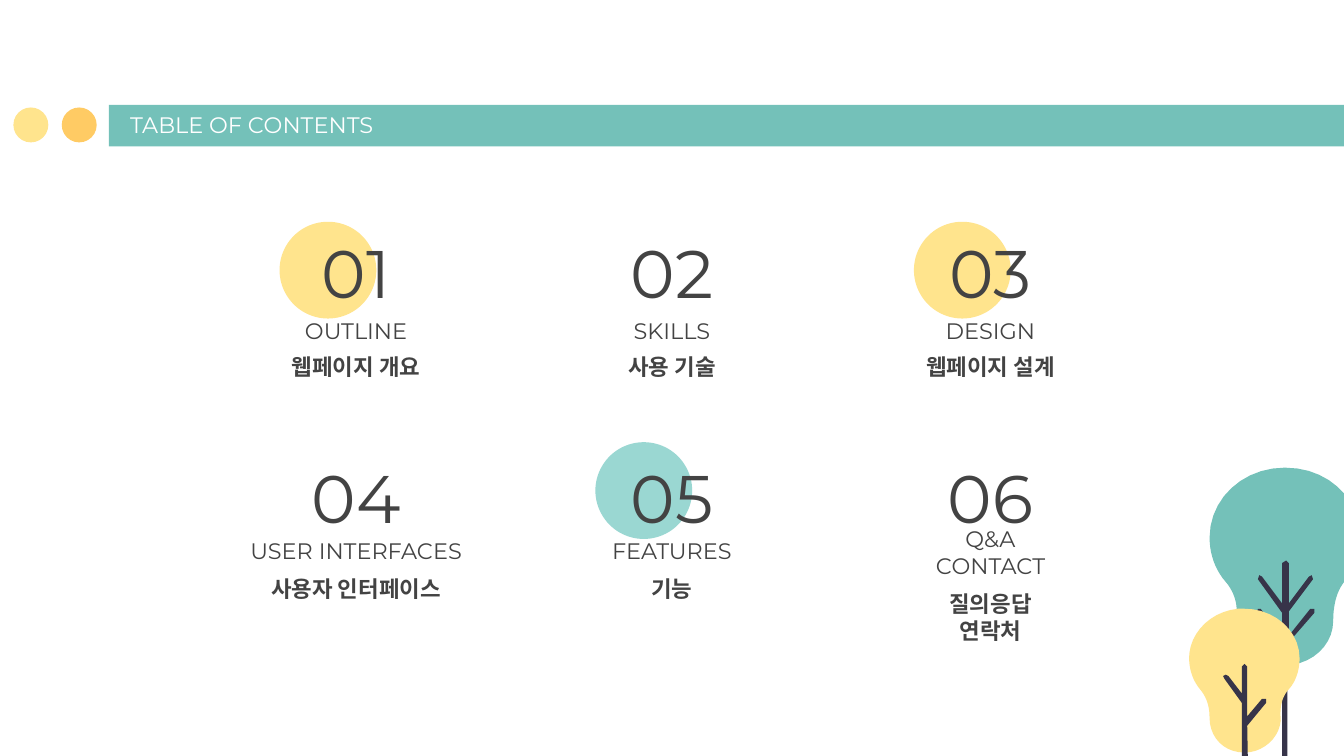
from pptx import Presentation
from pptx.dml.color import RGBColor
from pptx.enum.shapes import MSO_SHAPE as Preset
from pptx.enum.text import MSO_ANCHOR as Anchor, PP_ALIGN as Align
from pptx.util import Inches, Pt

SLIDE_WIDTH = 10
SLIDE_HEIGHT = SLIDE_WIDTH * 9 / 16

TEAL, LIGHT_TEAL = "74C1B9", "9AD7D2"
YELLOW, ORANGE = "FFE48D", "FFCB64"
DARK, BARK, WHITE = "434343", "373449", "FFFFFF"

COLUMN_CENTERS = [2.65, 5.0, 7.37]
# top of circle, number, heading and subtitle in each row
ROW_TOPS = [(1.65, 1.71, 2.03, 2.53), (3.29, 3.38, 3.67, 4.18)]

# number, heading, subtitle, circle colour, extra drop of the texts
ENTRIES = [
    ("01", "OUTLINE", "웹페이지 개요", YELLOW, 0),
    ("02", "SKILLS", "사용 기술", None, 0),
    ("03", "DESIGN", "웹페이지 설계", YELLOW, 0),
    ("04", "USER INTERFACES", "사용자 인터페이스", None, 0),
    ("05", "FEATURES", "기능", LIGHT_TEAL, 0),
    ("06", "Q&A\vCONTACT", "질의응답\n연락처", None, 0.11),
]

# Crowns: a start point, then Bézier curves (two handles and an end point)
TEAL_CROWN = (9.56, 3.48), [
    (9.25, 3.48, 9, 3.71, 9, 4),
    (9, 4.12, 9.04, 4.24, 9.12, 4.33),
    (9.18, 4.4, 9.21, 4.49, 9.2, 4.58),
    (9.2, 4.59, 9.2, 4.61, 9.2, 4.63),
    (9.2, 4.81, 9.37, 4.95, 9.56, 4.95),
    (9.76, 4.95, 9.92, 4.8, 9.92, 4.62),
    (9.92, 4.49, 9.95, 4.39, 10.01, 4.32),
    (10.1, 4.21, 10.14, 4.07, 10.12, 3.94),
    (10.09, 3.7, 9.88, 3.48, 9.56, 3.48),
]
YELLOW_CROWN = (9.26, 4.53), [
    (9.24, 4.53, 9.23, 4.53, 9.21, 4.53),
    (9.02, 4.55, 8.87, 4.69, 8.85, 4.86),
    (8.84, 4.96, 8.87, 5.06, 8.93, 5.13),
    (8.98, 5.19, 9, 5.26, 9, 5.34),
    (9, 5.49, 9.11, 5.6, 9.26, 5.6),
    (9.4, 5.6, 9.52, 5.49, 9.53, 5.36),
    (9.52, 5.26, 9.54, 5.19, 9.58, 5.14),
    (9.64, 5.08, 9.67, 4.99, 9.67, 4.9),
    (9.67, 4.69, 9.48, 4.53, 9.26, 4.53),
]
TEAL_TREE_TRUNK = [
    (9.57, 4.17), (9.54, 4.19), (9.54, 4.49), (9.39, 4.29), (9.37, 4.28),
    (9.36, 4.31), (9.54, 4.56), (9.54, 4.73), (9.38, 4.53), (9.36, 4.53),
    (9.35, 4.56), (9.54, 4.79), (9.54, 5.84), (9.57, 5.86), (9.58, 5.84),
    (9.58, 4.79), (9.78, 4.56), (9.78, 4.53), (9.75, 4.53), (9.59, 4.73),
    (9.59, 4.55), (9.77, 4.31), (9.76, 4.28), (9.74, 4.29), (9.59, 4.49),
    (9.59, 4.19),
]
YELLOW_TREE_TRUNK = [
    (9.26, 4.94), (9.24, 4.96), (9.24, 5.16), (9.14, 5.03), (9.12, 5.02),
    (9.1, 5.03), (9.11, 5.05), (9.24, 5.23), (9.24, 5.93), (9.26, 5.95),
    (9.29, 5.93), (9.28, 5.4), (9.42, 5.23), (9.42, 5.2), (9.39, 5.2),
    (9.28, 5.33), (9.28, 4.96),
]


def color(hex_string):
    return RGBColor.from_string(hex_string)


def paint(shape, fill):
    """Give a flat fill without outline or shadow."""
    shape.shadow.inherit = False
    shape.fill.solid()
    shape.fill.fore_color.rgb = color(fill)
    shape.line.fill.background()


def add_preset(slide, preset, left, top, width, height, fill):
    shape = slide.shapes.add_shape(
        preset, Inches(left), Inches(top), Inches(width), Inches(height))
    paint(shape, fill)


def add_circle(slide, left, top, diameter, fill):
    add_preset(slide, Preset.OVAL, left, top, diameter, diameter, fill)


def add_text(slide, text, left, top, width, height, anchor, size=12,
             font="Montserrat", fill=DARK, bold=False, align=Align.CENTER):
    box = slide.shapes.add_textbox(
        Inches(left), Inches(top), Inches(width), Inches(height))
    frame = box.text_frame
    frame.word_wrap = True
    frame.vertical_anchor = anchor
    frame.margin_left = frame.margin_right = Inches(0.1)
    frame.margin_top = frame.margin_bottom = Inches(0.1)
    frame.text = text
    for paragraph in frame.paragraphs:
        paragraph.alignment = align
        paragraph.font.name = font
        paragraph.font.size = Pt(size)
        paragraph.font.bold = bold
        paragraph.font.color.rgb = color(fill)


def curve_points(start, curves, steps=10):
    """Turn a chain of cubic Bézier curves into outline points."""
    points = [start]
    for x1, y1, x2, y2, x3, y3 in curves:
        x0, y0 = points[-1]
        for step in range(1, steps + 1):
            t = step / steps
            u = 1 - t
            a, b, c, d = u**3, 3 * u * u * t, 3 * u * t * t, t**3
            points.append((a * x0 + b * x1 + c * x2 + d * x3,
                           a * y0 + b * y1 + c * y2 + d * y3))
    return points


def add_outline(slide, points, fill):
    corners = [(Inches(x), Inches(y)) for x, y in points]
    builder = slide.shapes.build_freeform(*corners[0])
    builder.add_line_segments(corners[1:], close=True)
    paint(builder.convert_to_shape(), fill)


def add_tree(slide, crown, trunk, fill):
    add_outline(slide, curve_points(*crown), fill)
    add_outline(slide, trunk, BARK)


def add_header(slide):
    add_preset(slide, Preset.RECTANGLE, 0.81, 0.78, 9.5, 0.31, TEAL)
    add_circle(slide, 0.46, 0.8, 0.26, ORANGE)
    add_circle(slide, 0.1, 0.8, 0.26, YELLOW)
    add_text(slide, "TABLE OF CONTENTS", 0.87, 0.79, 5.48, 0.34,
             Anchor.BOTTOM, fill=WHITE, align=Align.LEFT)


def add_entry(slide, index, number, heading, subtitle, circle, drop):
    row, column = divmod(index, len(COLUMN_CENTERS))
    center = COLUMN_CENTERS[column]
    circle_top, number_top, heading_top, subtitle_top = ROW_TOPS[row]
    if circle:
        add_circle(slide, center - 0.57, circle_top, 0.72, circle)
    add_text(slide, number, center - 0.96, number_top, 1.92, 0.63,
             Anchor.MIDDLE, size=36)
    add_text(slide, heading, center - 1.27, heading_top + drop, 2.54, 0.63,
             Anchor.BOTTOM)
    add_text(slide, subtitle, center - 1.04, subtitle_top + drop, 2.08, 0.67,
             Anchor.TOP, font="EB Garamond", bold=True)


def main():
    presentation = Presentation()
    presentation.slide_width = Inches(SLIDE_WIDTH)
    presentation.slide_height = Inches(SLIDE_HEIGHT)
    slide = presentation.slides.add_slide(presentation.slide_layouts[6])

    add_header(slide)
    for index, entry in enumerate(ENTRIES):
        add_entry(slide, index, *entry)
    add_tree(slide, TEAL_CROWN, TEAL_TREE_TRUNK, TEAL)
    add_tree(slide, YELLOW_CROWN, YELLOW_TREE_TRUNK, YELLOW)

    presentation.save("out.pptx")


if __name__ == "__main__":
    main()
